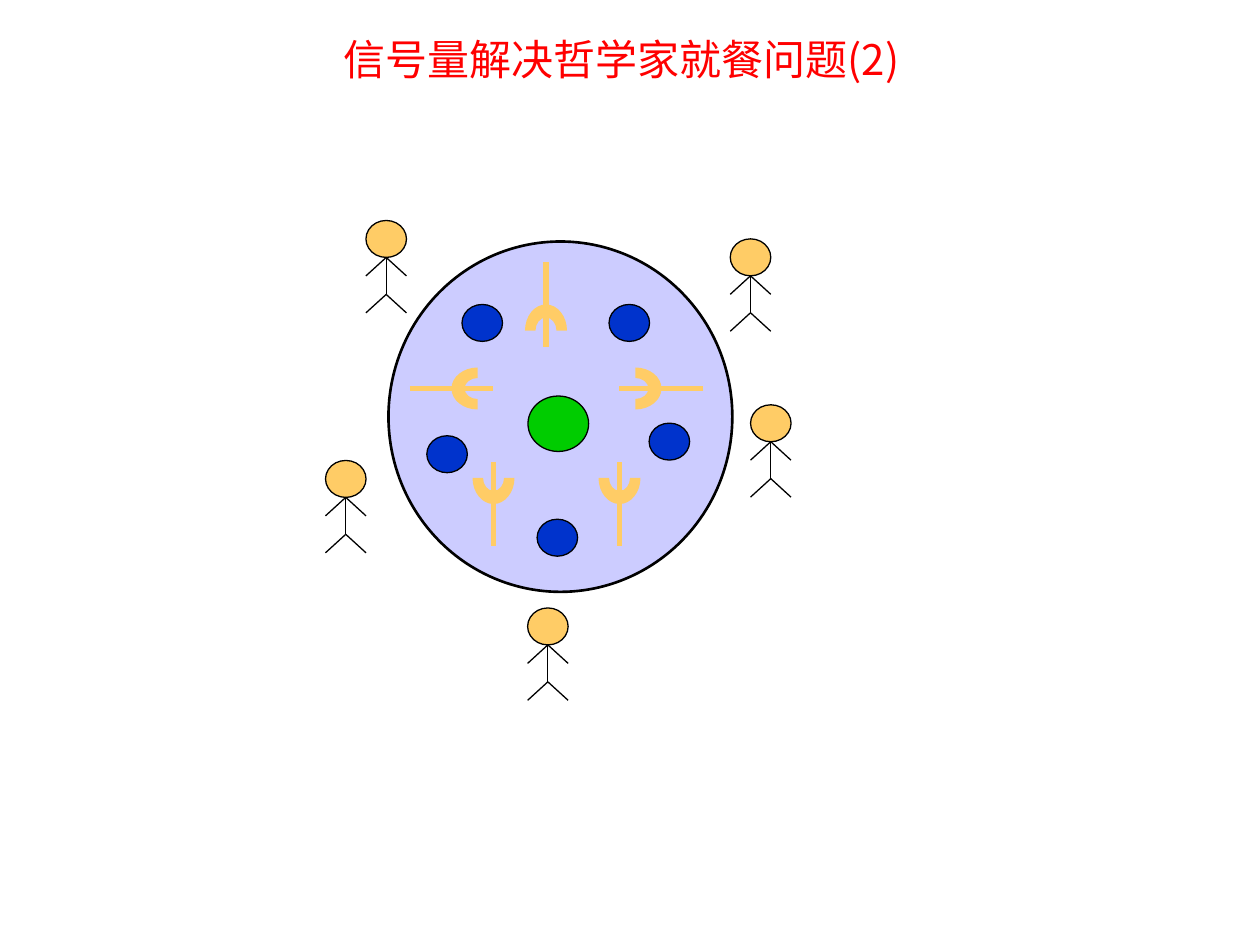
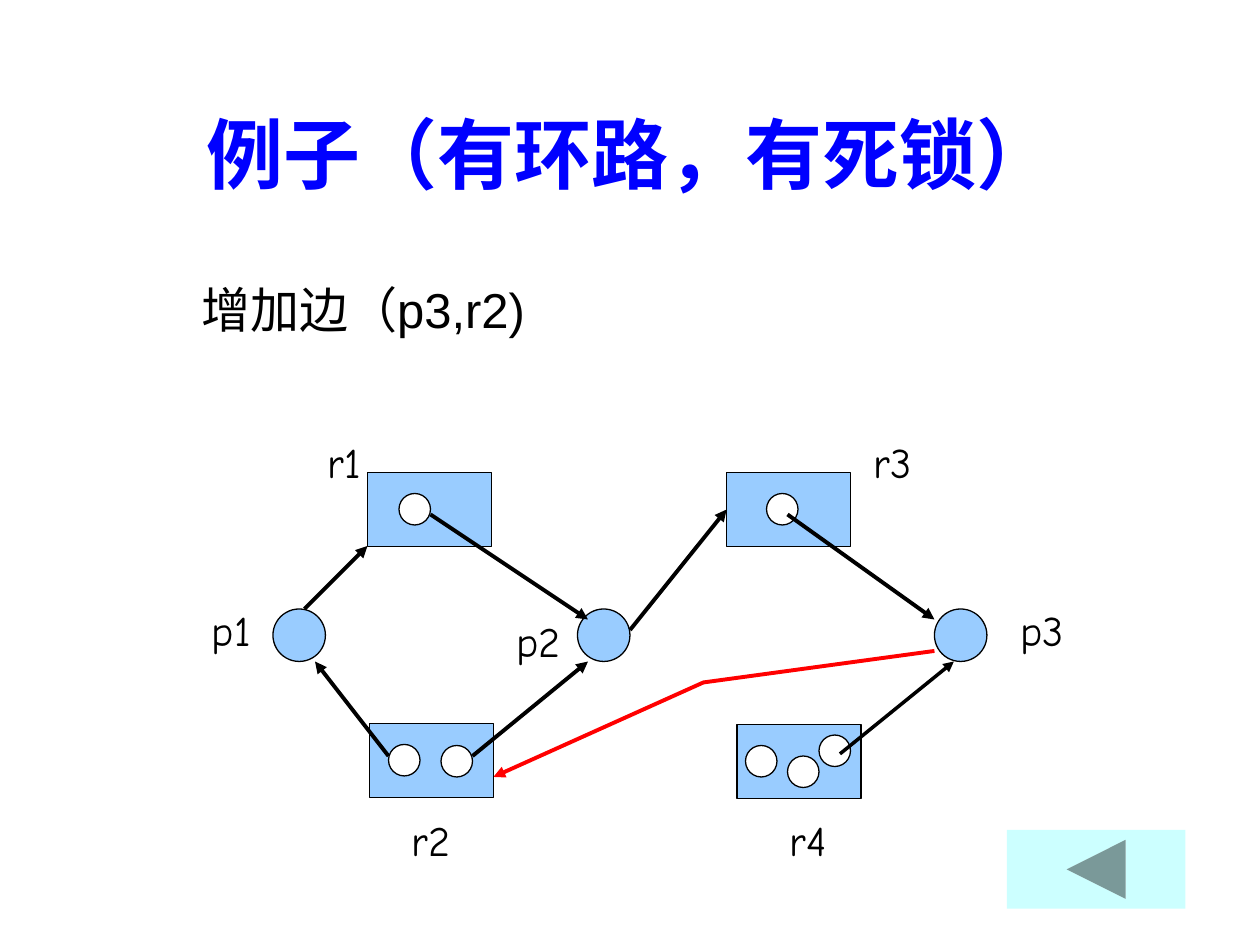
"""Build two slides: the dining philosophers and a deadlocked resource graph."""
from lxml import etree
from pptx import Presentation
from pptx import util as u
from pptx.dml.color import RGBColor
from pptx.enum import shapes, text
from pptx.oxml import ns

CELL = u.Inches(10) // 120
BLACK, WHITE, RED, BLUE = "000000", "FFFFFF", "FF0000", "0000FF"
SAND, SKY, NAVY = "FFCC66", "99CCFF", "0033CC"
CJK = "Noto Sans CJK JP"
OVAL = shapes.MSO_SHAPE.OVAL
RECT = shapes.MSO_SHAPE.RECTANGLE
BACK = shapes.MSO_SHAPE.ACTION_BUTTON_BACK_OR_PREVIOUS
hue = RGBColor.from_string


def cells(*nums):
    """Turn grid cells into lengths."""
    return [u.Emu(round(n * CELL)) for n in nums]


def write(box, words, size=24, font="Comic Neue", color=BLACK, bold=False,
          align=text.PP_ALIGN.LEFT, anchor=text.MSO_ANCHOR.TOP, gap=1.0):
    """Put one formatted paragraph in a box."""
    frame = box.text_frame
    frame.word_wrap = True
    frame.auto_size = text.MSO_AUTO_SIZE.NONE
    frame.vertical_anchor = anchor
    par = frame.paragraphs[0]
    par.alignment, par.line_spacing = align, gap
    run = par.add_run()
    run.text = words
    run.font.size, run.font.name, run.font.bold = u.Pt(size), font, bold
    run.font.color.rgb = hue(color)
    props = run._r.get_or_add_rPr()
    etree.SubElement(props, ns.qn("a:ea")).set("typeface", CJK)


deck = Presentation()
deck.slide_width, deck.slide_height = cells(120, 90)

titles = [
    ("信号量解决哲学家就餐问题(2)", (2.64, 4.32, 113.1, 6),
     dict(size=24, font=CJK, color=RED, gap=0.6)),
    ("例子（有环路，有死锁）", (9, 7, 102, 15),
     dict(size=44, font="Times New Roman", color=BLUE, bold=True,
          anchor=text.MSO_ANCHOR.MIDDLE)),
]
pages = []
for words, area, style in titles:
    page = deck.slides.add_slide(deck.slide_layouts[5])
    head = page.shapes.title
    head.left, head.top, head.width, head.height = cells(*area)
    write(head, words, align=text.PP_ALIGN.CENTER, **style)
    pages.append(page)

# Forms: kind, area, fill, line width. Lines: ends, colour, width, arrow, goal.
wide, tall = 3.86, 3.52
plates = [(44, 29), (58, 29), (61.82, 40.3), (51.15, 49.45), (40.65, 41.5)]
people = [(69.55, 22.75), (71.48, 38.55), (50.25, 57.9), (34.85, 21), (31, 43.85)]
forks = [(52, 25, 0, 1, 0), (39, 37, 1, 0, 270), (67, 37, -1, 0, 90),
         (59, 52, 0, -1, 180), (47, 52, 0, -1, 180)]

room = [(OVAL, (37, 23, 32.75, 33.37), "CCCCFF", 1.5)]
room += [(OVAL, (x, y, wide, tall), NAVY, 0.75) for x, y in plates]
room += [(OVAL, (x, y, wide, tall), SAND, 0.75) for x, y in people]
room += [(OVAL, (50.28, 37.72, 5.78, 5.28), "00CC00", 0.75)]

limbs = []
for x, y in people:
    mid, step = x + wide / 2, tall / 2
    neck, waist, hip = [y + tall + step * n for n in range(3)]
    limbs += [(ends, BLACK, 0.75, False, None) for ends in [
        (mid, neck, mid, waist), (mid, waist, mid, hip),
        (mid, hip, x, hip + step), (mid, hip, x + wide, hip + step),
        (mid, neck, x, waist), (mid, neck, x + wide, waist)]]
limbs += [((x, y, x + 8 * dx, y + 8 * dy), SAND, 3, False, None)
          for x, y, dx, dy, turn in forks]

bins = [(35, 45), (69.2, 45), (35.2, 68.9), (70.2, 69)]
units = [(38, 47), (73, 47), (37, 70.9), (42, 71), (71, 71), (75, 72), (78, 70)]
procs = [(26, 58), (55, 58), (89, 58)]
graph = [(RECT, (x, y, 11.8, 7.05), SKY, 0.75) for x, y in bins]
graph += [(OVAL, (x, y, 3, 3), WHITE, 0.75) for x, y in units]
graph += [(OVAL, (x, y, 5, 5), SKY, 0.75) for x, y in procs]
graph += [(BACK, (95.9, 79.05, 17, 7.5), "CCFFFF", 0)]
edges = [((41, 49, 56, 59), 2.25, None), ((45, 72, 56, 63), 2.25, None),
         ((75, 49, 89, 59), 2.25, None), ((37, 72, 30, 63), 2.25, None),
         ((29, 58, 35, 52), 2.25, None), ((60, 60, 69, 49), 2.25, (1, 1)),
         ((80, 71.8, 90.85, 63), 2, None)]
arrows = [(ends, BLACK, width, True, goal) for ends, width, goal in edges]

start, *route = [cells(*dot) for dot in [(89, 62), (67, 65), (47, 74)]]
pen = pages[1].shapes.build_freeform(*start)
pen.add_line_segments(route, close=False)
wait = pen.convert_to_shape()
wait.shadow.inherit = False
wait.fill.background()
wait.line.color.rgb = hue(RED)
wait.line.width = u.Pt(2.25)
tip = etree.SubElement(wait.line._get_or_add_ln(), ns.qn("a:tailEnd"))
tip.set("type", "triangle")

for page, forms, lines in [(pages[0], room, limbs), (pages[1], graph, arrows)]:
    made = []
    for kind, area, fill, width in forms:
        form = page.shapes.add_shape(kind, *cells(*area))
        form.shadow.inherit = False
        form.fill.solid()
        form.fill.fore_color.rgb = hue(fill)
        if width:
            form.line.color.rgb = hue(BLACK)
            form.line.width = u.Pt(width)
        else:
            form.line.fill.background()
        made.append(form)

    for ends, color, width, arrow, goal in lines:
        link = page.shapes.add_connector(shapes.MSO_CONNECTOR.STRAIGHT, *cells(*ends))
        if goal:
            link.end_connect(made[goal[0]], goal[1])
        link.line.color.rgb = hue(color)
        link.line.width = u.Pt(width)
        if arrow:
            tip = etree.SubElement(link.line._get_or_add_ln(), ns.qn("a:tailEnd"))
            tip.set("type", "triangle")
        etree.SubElement(link._element.spPr, ns.qn("a:effectLst"))

# The prongs are a half ring of four Bezier curves in the upper half of a frame.
inner = [(-1, 0), (-1, -0.69), (-0.55, -1.25), (0, -1.25),
         (0.55, -1.25), (1, -0.69), (1, 0)]
outer = [(2 * a, 2 * b) for a, b in reversed(inner)]
for x, y, dx, dy, turn in forks:
    mid, base = x + 6.5 * dx, y + 6.5 * dy
    first, *rest = [cells(mid + a, base + b) for a, b in inner + outer]
    pen = pages[0].shapes.build_freeform(*first)
    pen.add_line_segments(rest, close=True)
    prong = pen.convert_to_shape()
    prong.shadow.inherit = False
    prong.fill.solid()
    prong.fill.fore_color.rgb = hue(SAND)
    prong.line.fill.background()
    track = next(prong._element.iter(ns.qn("a:path")))
    steps = track.findall(ns.qn("a:lnTo"))
    for n in (0, 3, 7, 10):
        curve = etree.Element(ns.qn("a:cubicBezTo"))
        steps[n].addprevious(curve)
        for step in steps[n:n + 3]:
            curve.append(step[0])
            track.remove(step)
    track.set("h", str(2 * int(track.get("h"))))
    prong.height *= 2
    prong.rotation = turn

labels = [("p1", 19, 57, 8), ("p2", 48, 58, 8), ("p3", 96, 57, 8),
          ("r1", 30, 41, 7), ("r3", 82, 41, 7), ("r2", 38, 77, 7),
          ("r4", 74, 77, 11)]
for words, x, y, width in labels:
    write(pages[1].shapes.add_textbox(*cells(x, y, width, 6)), words)
note = pages[1].shapes.add_textbox(*cells(18, 26, 70, 6.8))
write(note, "增加边（p3,r2)", size=28, font="Arial")

deck.save("out.pptx")
